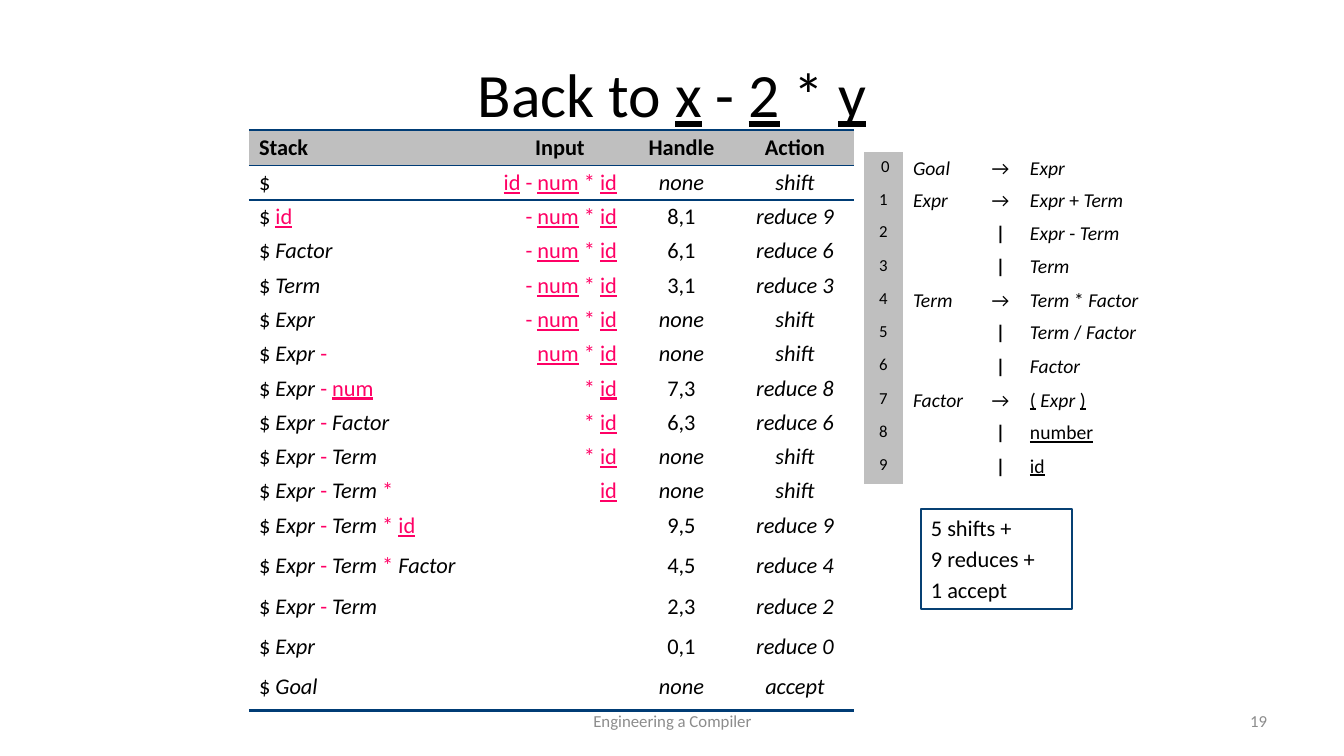
from dataclasses import dataclass
from typing import Any

from lxml import etree
from pptx import Presentation
from pptx.dml.color import RGBColor
from pptx.enum.shapes import MSO_SHAPE
from pptx.enum.text import MSO_ANCHOR, MSO_AUTO_SIZE, PP_ALIGN
from pptx.oxml.ns import qn
from pptx.util import Emu, Pt

LEFT, CENTER, RIGHT = PP_ALIGN.LEFT, PP_ALIGN.CENTER, PP_ALIGN.RIGHT
TOP, MIDDLE = MSO_ANCHOR.TOP, MSO_ANCHOR.MIDDLE
GROW = MSO_AUTO_SIZE.SHAPE_TO_FIT_TEXT
RECTANGLE = MSO_SHAPE.RECTANGLE

EMU_PER_PX = 914400 / 100.8
FONT = "Calibri"
BLACK, WHITE, GREY, PINK = "000000", "FFFFFF", "BFBFBF", "FF0065"
RULE, BOX_LINE, FOOTER = "003C75", "074073", "8C8C8C"
NO_STYLE = "{2D5ABB26-0587-4C30-8999-92F81FD0307C}"

NONTERMINALS = {"Goal", "Expr", "Term", "Factor"}
TERMINALS = {"id", "num", "number", "(", ")", "x", "2", "y"}

# Stack, input, handle, action
PARSE_STEPS = [
    ("$", "id - num * id", "none", "shift"),
    ("$ id", "- num * id", "8,1", "reduce 9"),
    ("$ Factor", "- num * id", "6,1", "reduce 6"),
    ("$ Term", "- num * id", "3,1", "reduce 3"),
    ("$ Expr", "- num * id", "none", "shift"),
    ("$ Expr -", "num * id", "none", "shift"),
    ("$ Expr - num", "* id", "7,3", "reduce 8"),
    ("$ Expr - Factor", "* id", "6,3", "reduce 6"),
    ("$ Expr - Term", "* id", "none", "shift"),
    ("$ Expr - Term *", "id", "none", "shift"),
    ("$ Expr - Term * id", "", "9,5", "reduce 9"),
    ("$ Expr - Term * Factor", "", "4,5", "reduce 4"),
    ("$ Expr - Term", "", "2,3", "reduce 2"),
    ("$ Expr", "", "0,1", "reduce 0"),
    ("$ Goal", "", "none", "accept"),
]

# Left side, right side
PRODUCTIONS = [
    ("Goal", "Expr"), ("Expr", "Expr + Term"), ("", "Expr - Term"), ("", "Term"),
    ("Term", "Term * Factor"), ("", "Term / Factor"), ("", "Factor"),
    ("Factor", "( Expr )"), ("", "number"), ("", "id"),
]


@dataclass
class Box:
    left: int
    top: int
    width: int
    height: int

    def emu(self) -> tuple[Emu, Emu, Emu, Emu]:
        return px(self.left), px(self.top), px(self.width), px(self.height)


@dataclass
class TextRun:
    text: str
    color: str = BLACK
    bold: bool = False
    italic: bool = False
    underline: bool = False


@dataclass
class CellContent:
    runs: list[TextRun]
    size: int
    align: Any
    spacing: float
    fill: str = WHITE


@dataclass
class Label:
    text: str
    box: Box
    align: Any


FOOTERS = [
    Label("Engineering a Compiler", Box(460, 701, 425, 40), CENTER),
    Label("19", Box(964, 701, 313, 40), RIGHT),
]


def px(length: int) -> Emu:
    return Emu(round(length * EMU_PER_PX))


def rgb(color: str) -> RGBColor:
    return RGBColor.from_string(color)


def set_all(target: Any, values: dict[str, Any]) -> None:
    for name, value in values.items():
        setattr(target, name, value)


def symbol_runs(text: str, accent: str = BLACK) -> list[TextRun]:
    """Style grammar symbols; gaps go to a neighbour that is not underlined."""
    symbols = text.split()
    runs = []
    for index, symbol in enumerate(symbols):
        terminal, nonterminal = symbol in TERMINALS, symbol in NONTERMINALS
        before = " " if index and symbols[index - 1] in TERMINALS else ""
        after = " " if not terminal and index < len(symbols) - 1 else ""
        color = BLACK if nonterminal or symbol == "$" else accent
        runs.append(TextRun(before + symbol + after, color, False, nonterminal, terminal))
    return runs


def write(paragraph: Any, runs: list[TextRun], size: int, **layout: Any) -> None:
    set_all(paragraph, layout)
    for item in runs:
        run = paragraph.add_run()
        run.text = item.text
        set_all(run.font, {"name": FONT, "size": Pt(size), "bold": item.bold,
                           "italic": item.italic, "underline": item.underline})
        run.font.color.rgb = rgb(item.color)
    if not runs:
        etree.SubElement(paragraph._p, qn("a:endParaRPr"), sz=str(size * 100))


def add_border(cell: Any, side: str, points: float) -> None:
    line = etree.SubElement(cell._tc.get_or_add_tcPr(), qn(f"a:ln{side}"), w=str(int(Pt(points))))
    fill = etree.SubElement(line, qn("a:solidFill"))
    etree.SubElement(fill, qn("a:srgbClr"), val=RULE)


def add_grid(slide: Any, box: Box, widths: list[int], row_height: int,
             rows: list[list[CellContent]], borders: dict[int, dict[str, float]]) -> None:
    frame = slide.shapes.add_table(len(rows), len(widths), *box.emu())
    table = frame.table
    set_all(table, {"first_row": False, "horz_banding": False})
    table._tbl.tblPr.find(qn("a:tableStyleId")).text = NO_STYLE
    for column, width in zip(table.columns, widths):
        column.width = px(width)
    for row_index, contents in enumerate(rows):
        table.rows[row_index].height = px(row_height)
        for cell, content in zip(table.rows[row_index].cells, contents):
            for side, points in borders.get(row_index, {}).items():
                add_border(cell, side, points)
            cell.fill.solid()
            cell.fill.fore_color.rgb = rgb(content.fill)
            write(cell.text_frame.paragraphs[0], content.runs, content.size,
                  alignment=content.align, line_spacing=content.spacing)
    frame.height = px(box.height)


def parse_rows() -> list[list[CellContent]]:
    rows = [[CellContent([TextRun(name, bold=True)], 16, align, 0.95, GREY)
             for name, align in zip(("Stack", "Input", "Handle", "Action"),
                                    (LEFT, CENTER, CENTER, CENTER))]]
    for stack, remaining, handle, action in PARSE_STEPS:
        rows.append([
            CellContent(symbol_runs(stack, PINK), 16, LEFT, 0.9),
            CellContent(symbol_runs(remaining, PINK), 16 if remaining else 18, RIGHT, 0.9),
            CellContent([TextRun(handle, italic=handle.isalpha())], 16, CENTER, 0.9),
            CellContent([TextRun(action, italic=True)], 16, CENTER, 0.9),
        ])
    return rows


def grammar_rows() -> list[list[CellContent]]:
    rows = []
    for number, (left_side, right_side) in enumerate(PRODUCTIONS):
        label = str(number) if number else " 0"
        arrow = TextRun("→") if left_side else TextRun("|", bold=True)
        rows.append([
            CellContent([TextRun(label)], 12, CENTER, 0.95, GREY),
            CellContent(symbol_runs(left_side), 14, LEFT, 0.95),
            CellContent([arrow], 14, CENTER, 0.95),
            CellContent(symbol_runs(right_side), 14, LEFT, 0.95),
        ])
    return rows


def add_summary(slide: Any) -> None:
    shape = slide.shapes.add_shape(RECTANGLE, *Box(921, 509, 151, 100).emu())
    shape.shadow.inherit = False
    shape.fill.background()
    shape.line.color.rgb = rgb(BOX_LINE)
    shape.line.width = Pt(1.5)
    frame = shape.text_frame
    set_all(frame, {"word_wrap": True, "vertical_anchor": TOP, "auto_size": GROW})
    for index, text in enumerate(("5 shifts +", "9 reduces +", "1 accept")):
        paragraph = frame.add_paragraph() if index else frame.paragraphs[0]
        write(paragraph, [TextRun(text)], 16, alignment=LEFT, space_before=Pt(3))


def add_label(slide: Any, label: Label) -> None:
    frame = slide.shapes.add_textbox(*label.box.emu()).text_frame
    set_all(frame, {"word_wrap": True, "vertical_anchor": MIDDLE})
    write(frame.paragraphs[0], [TextRun(label.text, FOOTER)], 12, alignment=label.align)


def main() -> None:
    presentation = Presentation()
    set_all(presentation, {"slide_width": px(1344), "slide_height": px(756)})
    slide = presentation.slides.add_slide(presentation.slide_layouts[5])

    # Title
    title = slide.shapes.title
    set_all(title, dict(zip(("left", "top", "width", "height"), Box(67, 30, 1210, 126).emu())))
    title.text_frame.vertical_anchor = MIDDLE
    write(title.text_frame.paragraphs[0], symbol_runs("Back to x - 2 * y"), 44, alignment=CENTER)

    # Summary, parse trace, footers and grammar
    add_summary(slide)
    add_grid(slide, Box(249, 130, 605, 549), [244, 134, 109, 118], 28, parse_rows(),
             {0: {"T": 2.25, "B": 1}, 1: {"T": 1}, len(PARSE_STEPS): {"B": 2.25}})
    for label in FOOTERS:
        add_label(slide, label)
    add_grid(slide, Box(864, 152, 292, 325), [39, 78, 39, 136], 32, grammar_rows(), {})

    presentation.save("out.pptx")


if __name__ == "__main__":
    main()
